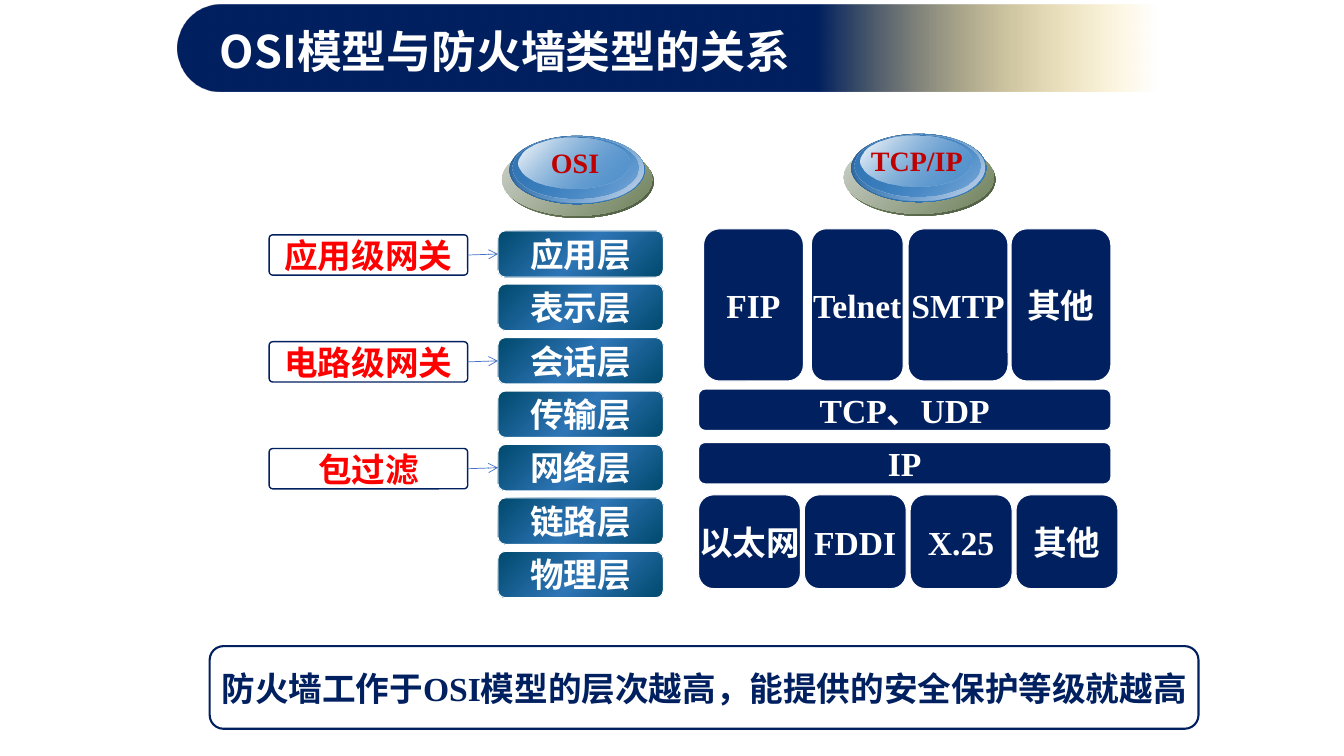
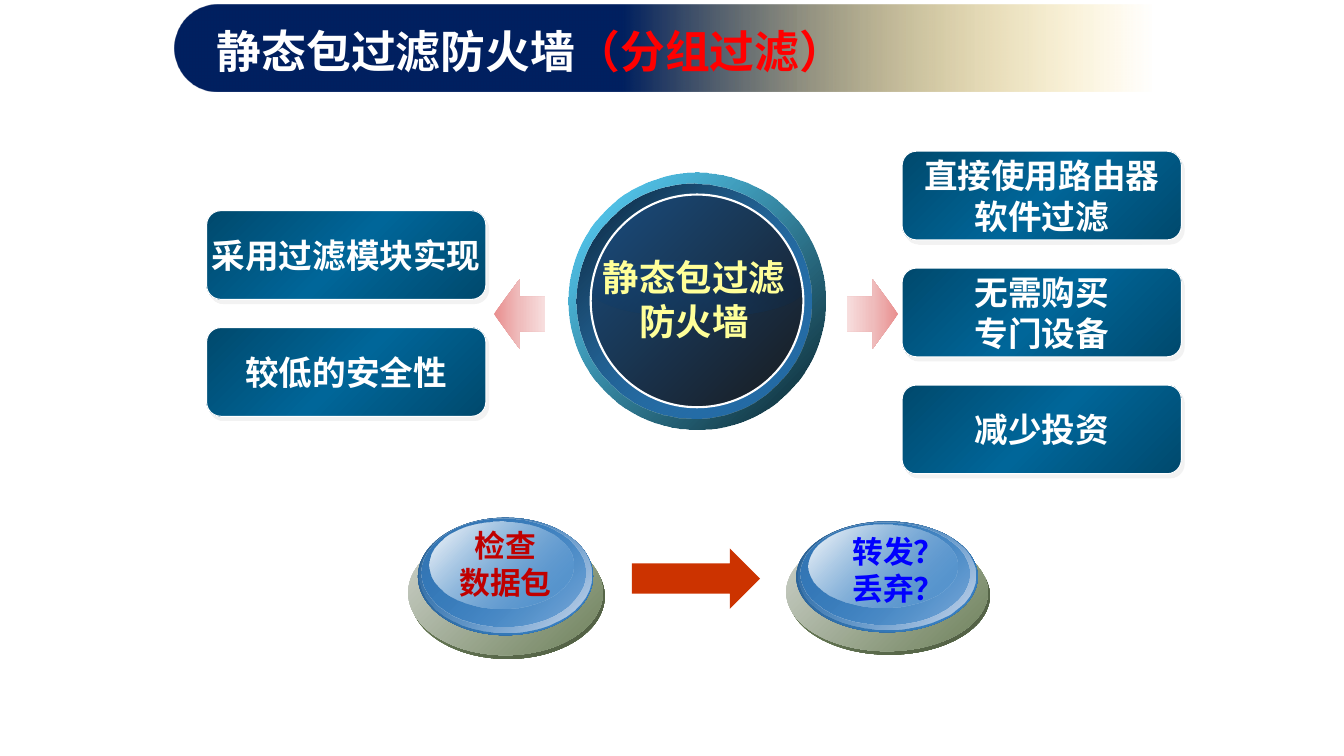
"""Build two slides on the OSI model and static packet-filtering firewalls."""
from dataclasses import dataclass
from typing import NamedTuple, Optional, Sequence

from lxml.etree import SubElement
from pptx import Presentation
from pptx.dml.color import RGBColor
from pptx.enum.shapes import MSO_CONNECTOR as Link, MSO_SHAPE as Geo
from pptx.enum.text import MSO_ANCHOR as Anchor, MSO_AUTO_SIZE as AutoSize, PP_ALIGN as Align
from pptx.oxml.ns import qn
from pptx.util import Emu, Inches, Pt

CELL = Inches(0.1)
COLUMNS, ROWS = 133.33, 75
CJK, SERIF = "Noto Sans CJK SC", "Times New Roman"
LINE_PITCH = 1.22
CARD_INSETS = (1, 0.4, 1, 0.5)
TEXT_INSETS = (1, 0.5, 1, 0.5)
COLORS = {
    "white": "FFFFFF", "navy": "002060", "gold": "FFC000", "red": "FF0000",
    "crimson": "C00000", "blue": "0000FF", "yellow": "FFFF99", "link": "4472C4",
    "orange": "CC3300", "charcoal": "333333", "shade": "E7E6E6",
    "petrol": "00496D", "sky": "2E75B6", "teal": "006699",
    "moss": "6E815B", "dark_moss": "505E43", "silver": "CFD3CC",
    "steel": "295E90", "azure": "3984C9", "mist": "D5DEEE", "denim": "3477B6",
    "cyan": "33CCFF", "deep_sea": "081F27", "ink": "091C2E", "bright": "3399FF",
    "midnight": "001C38", "cobalt": "0066CC", "black_blue": "00060C",
    "rose": "E98F8F", "pink": "EFBCBC", "blush": "F7DEDE",
}


class Box(NamedTuple):
    """A rectangle in grid cells."""
    left: float
    top: float
    width: float
    height: float

    def share(self, x: float, y: float, w: float, h: float) -> "Box":
        """Return a rectangle given as shares of this one."""
        return Box(self.left + x * self.width, self.top + y * self.height,
                   w * self.width, h * self.height)


class Stop(NamedTuple):
    """A gradient stop: position and opacity in percent."""
    position: int
    color: str
    opacity: int = 100


@dataclass(frozen=True)
class Gradient:
    """A linear gradient with a clockwise angle."""
    stops: Sequence[Stop]
    angle: int = 45


@dataclass(frozen=True)
class Layer:
    """An ellipse as shares of its group's box."""
    shares: tuple
    paint: Gradient


@dataclass(frozen=True)
class Dome:
    """A glossy button and its label."""
    base: Box
    text: str
    size: int
    color: str
    label_shift: float
    label_lift: float


@dataclass(frozen=True)
class Card:
    """A labelled rounded rectangle."""
    box: Box
    text: str


def blend(*colors: str, angle: int = 45, opacity: int = 100) -> Gradient:
    """Spread colours evenly over a gradient."""
    last = len(colors) - 1
    return Gradient([Stop(100 * i // last, c, opacity) for i, c in enumerate(colors)], angle)


LAYER_PAINT = blend("petrol", "sky", "petrol")
CARD_PAINT = blend("petrol", "teal", "petrol")
DOME_LAYERS = (
    Layer((0.01, 0.03, 1, 1), blend("moss", "dark_moss")),
    Layer((0, 0, 1, 1), blend("silver", "moss")),
    Layer((0.05, -0.1, 0.9, 0.94), blend("steel", "azure")),
    Layer((0.06, -0.1, 0.88, 0.92), Gradient([Stop(0, "azure", 0), Stop(100, "mist")])),
    Layer((0.07, -0.09, 0.84, 0.86), Gradient([Stop(0, "denim"), Stop(100, "azure", 48)])),
    Layer((0.11, -0.07, 0.74, 0.7), Gradient([Stop(0, "white"), Stop(100, "azure", 38)])),
)


def cells(value: float) -> Emu:
    """Convert grid cells to a length."""
    return Emu(round(value * CELL))


def rgb(name: str) -> RGBColor:
    """Look up a colour."""
    return RGBColor.from_string(COLORS[name])


def add_color(parent, name: str, opacity: int) -> None:
    """Append a colour element with its opacity."""
    color = SubElement(parent, qn("a:srgbClr"), val=COLORS[name])
    if opacity < 100:
        SubElement(color, qn("a:alpha"), val=str(opacity * 1000))


def paint_shape(shape, paint) -> None:
    """Fill a shape with a colour name or a gradient."""
    if isinstance(paint, str):
        shape.fill.solid()
        shape.fill.fore_color.rgb = rgb(paint)
        return
    shape.fill.gradient()
    shape.fill.gradient_angle = (360 - paint.angle) % 360
    stops = next(shape.element.iter(qn("a:gsLst")))
    for old in list(stops):
        stops.remove(old)
    for stop in paint.stops:
        mark = SubElement(stops, qn("a:gs"), pos=str(stop.position * 1000))
        add_color(mark, stop.color, stop.opacity)


def draw(slide, geo, box: Box, paint, *, line: Optional[str] = None, weight: float = 0.75,
         corner: Optional[float] = None, turn: int = 0, shaded: bool = False):
    """Add a preset shape."""
    shape = slide.shapes.add_shape(geo, *map(cells, box))
    paint_shape(shape, paint)
    if line:
        shape.line.color.rgb = rgb(line)
        shape.line.width = Pt(weight)
    else:
        shape.line.fill.background()
    if corner is not None:
        shape.adjustments[0] = corner
    shape.rotation = turn
    shape.shadow.inherit = False
    if shaded:
        effects = shape.element.spPr.find(qn("a:effectLst"))
        shadow = SubElement(effects, qn("a:outerShdw"), blurRad="0", dist=str(Pt(3.6)),
                            dir=str(56 * 60000), algn="ctr", rotWithShape="0")
        add_color(shadow, "shade", 50)
    return shape


def write(shape, text: str, *, size: int = 24, color: str = "white", latin: str = SERIF,
          align=Align.CENTER, anchor=Anchor.MIDDLE, insets: Sequence[float] = TEXT_INSETS,
          wrap: bool = False, accent: str = "") -> None:
    """Set bold text, one paragraph a line, with an optional red ending."""
    frame = shape.text_frame
    frame.auto_size = AutoSize.NONE
    frame.word_wrap = wrap
    frame.vertical_anchor = anchor
    (frame.margin_left, frame.margin_top,
     frame.margin_right, frame.margin_bottom) = map(cells, insets)
    lines = [[(line, color)] for line in text.split("\n")]
    if accent:
        lines[-1].append((accent, "red"))
    for index, pieces in enumerate(lines):
        paragraph = frame.add_paragraph() if index else frame.paragraphs[0]
        paragraph.alignment = align
        paragraph.line_spacing = Pt(round(size * LINE_PITCH, 1))
        for piece, tint in pieces:
            run = paragraph.add_run()
            run.text = piece
            run.font.size, run.font.bold, run.font.name = Pt(size), True, latin
            run.font.color.rgb = rgb(tint)
    for face in list(shape.element.iter(qn("a:latin"))):
        SubElement(face.getparent(), qn("a:ea"), typeface=CJK)


def add_titled_slide(deck, text: str, left: float, solid: int, accent: str = ""):
    """Add a slide with its fading title band."""
    slide = deck.slides.add_slide(deck.slide_layouts[5])
    fade = Gradient([Stop(solid, "navy"), Stop(92, "gold", 0)], 0)
    draw(slide, Geo.ROUNDED_RECTANGLE, Box(left, 0.5, 105.5, 8.6), fade, corner=0.5)
    title = slide.shapes.title
    title.left, title.top, title.width, title.height = map(cells, (left + 3.2, 1.8, 83.6, 6.4))
    write(title, text, size=32, latin=CJK, align=Align.LEFT, anchor=Anchor.TOP,
          wrap=True, accent=accent)
    slide.shapes.element.append(title.element)
    return slide


def add_card(slide, card: Card, paint, shaded: bool = False) -> None:
    """Draw a white-edged card."""
    shape = draw(slide, Geo.ROUNDED_RECTANGLE, card.box, paint, line="white",
                 corner=0.16, shaded=shaded)
    write(shape, card.text, insets=CARD_INSETS)


def add_dome(slide, dome: Dome) -> None:
    """Draw a glossy button from stacked ellipses."""
    base = dome.base
    for layer in DOME_LAYERS:
        draw(slide, Geo.OVAL, base.share(*layer.shares), layer.paint)
    spot = Box(base.left + dome.label_shift, base.top + dome.label_lift,
               base.width, base.height)
    write(slide.shapes.add_textbox(*map(cells, spot)), dome.text, size=dome.size,
          color=dome.color, anchor=Anchor.TOP, wrap=True)


def add_link(slide, start: tuple, end: tuple) -> None:
    """Draw a thin open arrow."""
    link = slide.shapes.add_connector(Link.STRAIGHT, *map(cells, start + end))
    link.line.color.rgb = rgb("link")
    link.line.width = Pt(0.5)
    outline = link.element.spPr
    SubElement(outline.find(qn("a:ln")), qn("a:tailEnd"), type="arrow")
    SubElement(outline, qn("a:effectLst"))


def build_osi_slide(deck) -> None:
    """Compare OSI layers, TCP/IP protocols and firewall types."""
    slide = add_titled_slide(deck, "OSI模型与防火墙类型的关系", 17.6, 60)
    summary = draw(slide, Geo.ROUNDED_RECTANGLE, Box(20.8, 64.1, 98.1, 8.2), "white",
                   line="navy", weight=1.5)
    write(summary, "防火墙工作于OSI模型的层次越高，能提供的安全保护等级就越高", color="navy")

    layer_left, layer_top, layer_step = 49.4, 22.9, 5.3
    layers = ("应用层", "表示层", "会话层", "传输层", "网络层", "链路层", "物理层")
    for row, name in enumerate(layers):
        box = Box(layer_left, layer_top + row * layer_step, 16.4, 4.6)
        add_card(slide, Card(box, name), LAYER_PAINT)
    for row, name in ((0, "应用级网关"), (2, "电路级网关"), (4, "包过滤")):
        box = Box(26.7, layer_top + row * layer_step + 0.4, 19.7, 4)
        gateway = draw(slide, Geo.ROUNDED_RECTANGLE, box, "white", line="navy",
                       weight=1, corner=0.09)
        write(gateway, name, color="red")
        middle = box.top + box.height / 2
        add_link(slide, (box.left + box.width, middle), (layer_left, middle - 0.1))

    protocols = [Card(Box(left, 22.7, width, 15.1), name) for left, width, name in (
        (69.8, 9.9, "FIP"), (80.5, 9.1, "Telnet"), (90.1, 9.9, "SMTP"), (100.3, 9.9, "其他"))]
    protocols += [Card(Box(69.3, 38.6 + row * layer_step, 40.9, 4.1), name)
                  for row, name in enumerate(("TCP、UDP", "IP"))]
    protocols += [Card(Box(69.3 + column * 10.5, 49.1, 10.1, 9.3), name)
                  for column, name in enumerate(("以太网", "FDDI", "X.25", "其他"))]
    for card in protocols:
        add_card(slide, card, "navy")
    for left, top, name in ((49.8, 14.2, "OSI"), (83.7, 14, "TCP/IP")):
        add_dome(slide, Dome(Box(left, top, 14.9, 7.2), name, 20, "crimson", -0.2, -0.3))


def build_filter_slide(deck) -> None:
    """Show the traits and the steps of static packet filtering."""
    slide = add_titled_slide(deck, "静态包过滤防火墙", 17.3, 42, "（分组过滤）")
    core = Box(58.6, 19.3, 21.1, 21.1)
    draw(slide, Geo.OVAL, Box(56.4, 17.1, 25.5, 25.5),
         Gradient([Stop(0, "cyan", 80), Stop(100, "deep_sea")]))
    draw(slide, Geo.OVAL, Box(57.2, 18.2, 23.3, 23.3),
         Gradient([Stop(0, "ink"), Stop(100, "bright", 50)]))
    draw(slide, Geo.OVAL, core, "charcoal")
    draw(slide, Geo.OVAL, core.share(0, 0.31, 1, 0.27),
         blend("midnight", "cobalt", "midnight", angle=315, opacity=15))
    draw(slide, Geo.OVAL, core, blend("cobalt", "black_blue", opacity=50),
         line="white", weight=1.5)
    write(slide.shapes.add_textbox(*map(cells, Box(58.8, 24.7, 20.1, 9.8))),
          "静态包过滤\n防火墙", size=26, color="yellow", anchor=Anchor.TOP)

    columns = (
        (89.5, 15, ("直接使用路由器\n软件过滤", "无需购买\n专门设备", "减少投资")),
        (20.5, 20.9, ("采用过滤模块实现", "较低的安全性")),
    )
    for left, top, traits in columns:
        for row, trait in enumerate(traits):
            box = Box(left, top + row * 11.6, 27.7, 8.8)
            add_card(slide, Card(box, trait), CARD_PAINT, shaded=True)
    for left, turn in ((83.1, 90), (48.1, 270)):
        draw(slide, Geo.UP_ARROW, Box(left, 28.6, 6.9, 5.1),
             blend("rose", "pink", "blush", angle=90), turn=turn)

    add_dome(slide, Dome(Box(40.5, 52.6, 19.3, 12.4), "检查\n数据包", 22, "crimson", 0, -0.9))
    add_dome(slide, Dome(Box(78, 52.9, 20, 11.7), "转发？\n丢弃？", 22, "blue", 1.15, -0.6))
    draw(slide, Geo.RIGHT_ARROW, Box(62.7, 54.4, 12.7, 6), "orange")


def main() -> None:
    """Build and save the deck."""
    deck = Presentation()
    deck.slide_width, deck.slide_height = cells(COLUMNS), cells(ROWS)
    build_osi_slide(deck)
    build_filter_slide(deck)
    deck.save("out.pptx")


if __name__ == "__main__":
    main()
